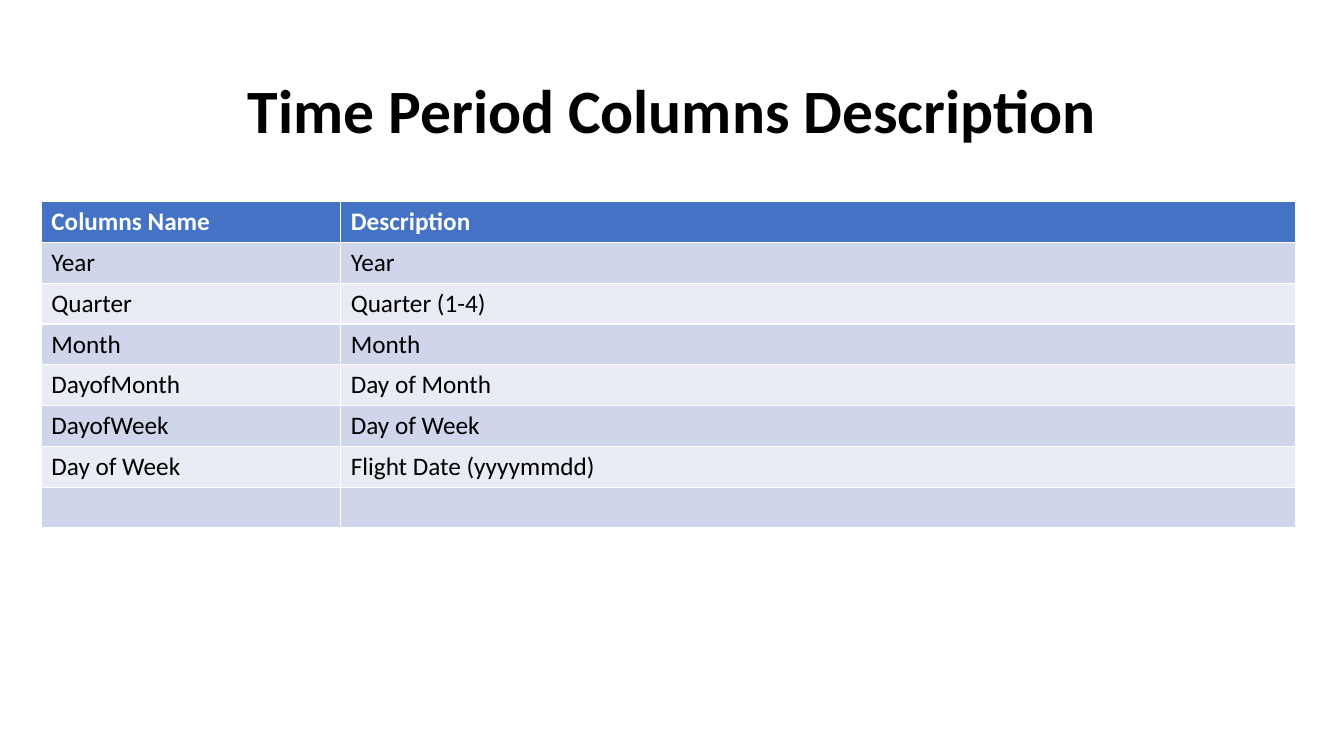
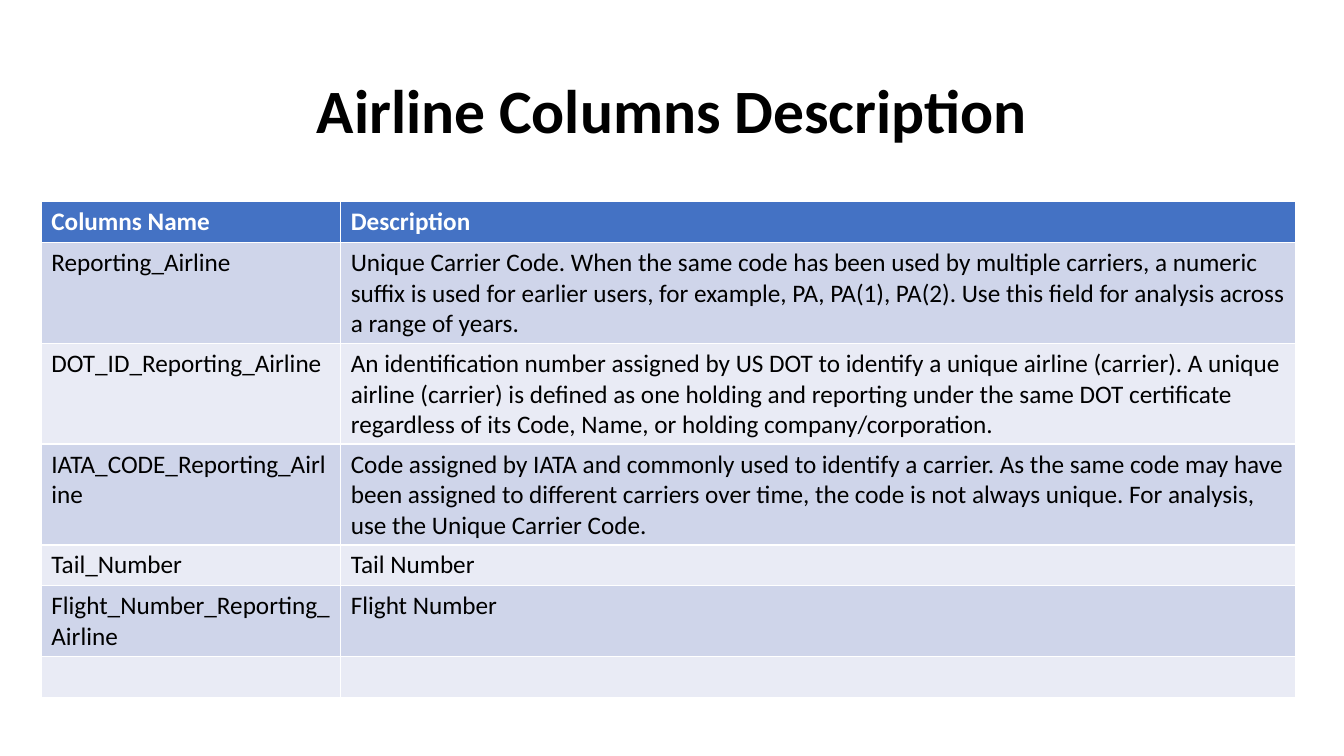
"""Build two slides that describe the columns of a flight data set."""
from dataclasses import dataclass

from pptx import Presentation
from pptx import util as u
from pptx.dml import color
from pptx.enum import text

FONT = "Calibri"
BLACK, WHITE, HEADER_FILL = "000000", "FFFFFF", "4472C4"
BAND_FILLS = ("CFD5EA", "E9EBF5")
COLUMN_WIDTHS = (u.Inches(2.97), u.Inches(9.47))
ROW_HEIGHT = u.Inches(0.81 / 2)
HEADINGS = ("Columns Name", "Description")


@dataclass(frozen=True)
class ColumnTable:
    title: str
    rows: tuple[tuple[str, str], ...]


TABLES = (
    ColumnTable("Time Period Columns Description", (
        ("Year", "Year"),
        ("Quarter", "Quarter (1-4)"),
        ("Month", "Month"),
        ("DayofMonth", "Day of Month"),
        ("DayofWeek", "Day of Week"),
        ("Day of Week", "Flight Date (yyyymmdd)"),
        ("", ""),
    )),
    ColumnTable("Airline Columns Description", (
        ("Reporting_Airline",
         "Unique Carrier Code. When the same code has been used by multiple carriers, "
         "a numeric suffix is used for earlier users, for example, PA, PA(1), PA(2). "
         "Use this field for analysis across a range of years."),
        ("DOT_ID_Reporting_Airline",
         "An identification number assigned by US DOT to identify a unique airline "
         "(carrier). A unique airline (carrier) is defined as one holding and reporting "
         "under the same DOT certificate regardless of its Code, Name, or holding "
         "company/corporation."),
        ("IATA_CODE_Reporting_Airline",
         "Code assigned by IATA and commonly used to identify a carrier. As the same "
         "code may have been assigned to different carriers over time, the code is not "
         "always unique. For analysis, use the Unique Carrier Code."),
        ("Tail_Number", "Tail Number"),
        ("Flight_Number_Reporting_Airline", "Flight Number"),
        ("", ""),
    )),
)


def rgb(value: str) -> color.RGBColor:
    return color.RGBColor.from_string(value)


def format_font(paragraph, size: int, hex_color: str, bold: bool) -> None:
    for run in paragraph.runs:
        run.font.name = FONT
        run.font.size = u.Pt(size)
        run.font.bold = bold
        run.font.color.rgb = rgb(hex_color)


def add_title(slide, title: str) -> None:
    shape = slide.shapes.add_textbox(
        u.Inches(0.92), u.Inches(0.4), u.Inches(11.5), u.Inches(1.45))
    frame = shape.text_frame
    frame.word_wrap = True
    frame.vertical_anchor = text.MSO_ANCHOR.MIDDLE
    frame.text = title
    paragraph = frame.paragraphs[0]
    paragraph.alignment = text.PP_ALIGN.CENTER
    paragraph.line_spacing = 0.9
    format_font(paragraph, 44, BLACK, True)


def add_column_table(slide, rows: tuple[tuple[str, str], ...]) -> None:
    all_rows = (HEADINGS, *rows)
    table = slide.shapes.add_table(
        len(all_rows), len(HEADINGS), u.Inches(0.41), u.Inches(2),
        sum(COLUMN_WIDTHS), ROW_HEIGHT * len(all_rows)).table
    for column, width in zip(table.columns, COLUMN_WIDTHS):
        column.width = width
    for row_index, values in enumerate(all_rows):
        is_header = row_index == 0
        fill = HEADER_FILL if is_header else BAND_FILLS[(row_index - 1) % 2]
        for column_index, value in enumerate(values):
            cell = table.cell(row_index, column_index)
            cell.fill.solid()
            cell.fill.fore_color.rgb = rgb(fill)
            cell.text_frame.text = value
            format_font(cell.text_frame.paragraphs[0], 18,
                        WHITE if is_header else BLACK, is_header)


def main() -> None:
    presentation = Presentation()
    presentation.slide_width = u.Inches(13.33)
    presentation.slide_height = u.Inches(7.5)
    for column_table in TABLES:
        slide = presentation.slides.add_slide(presentation.slide_layouts[6])
        add_title(slide, column_table.title)
        add_column_table(slide, column_table.rows)
    presentation.save("out.pptx")


if __name__ == "__main__":
    main()
